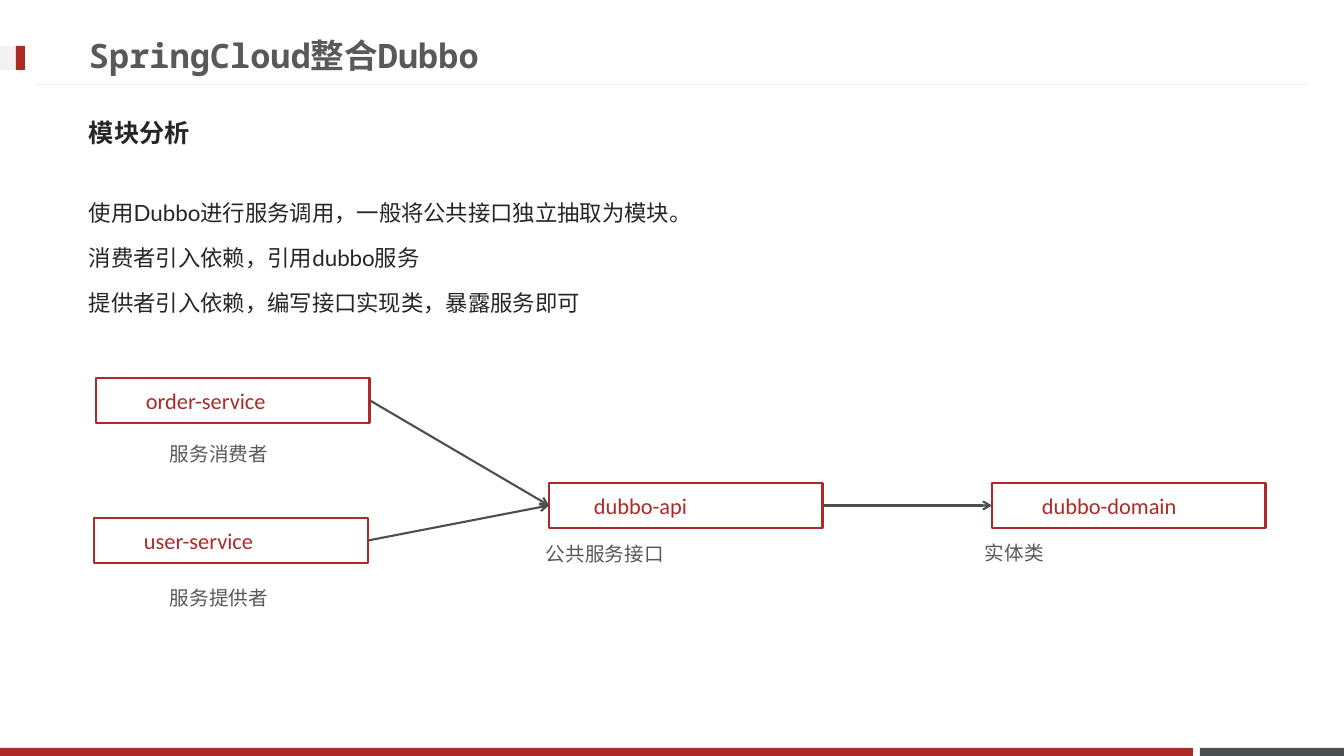
from lxml import etree
from pptx import Presentation
from pptx.dml.color import RGBColor
from pptx.enum.lang import MSO_LANGUAGE_ID
from pptx.enum.shapes import MSO_CONNECTOR, MSO_SHAPE
from pptx.enum.text import MSO_ANCHOR, PP_ALIGN
from pptx.oxml.ns import qn
from pptx.util import Emu, Pt

RECT = MSO_SHAPE.RECTANGLE
STRAIGHT = MSO_CONNECTOR.STRAIGHT
TOP, MIDDLE = MSO_ANCHOR.TOP, MSO_ANCHOR.MIDDLE
LEFT = PP_ALIGN.LEFT
CHINESE = MSO_LANGUAGE_ID.SIMPLIFIED_CHINESE

EMU_PER_PX = 914400 / 100.8
SLIDE_W, SLIDE_H = 1344, 756
LEFT_SIDE, RIGHT_SIDE = 1, 3
COLORS = {
    "red": "AD2B26",
    "slate": "49504F",
    "pale": "F2F2F2",
    "white": "FFFFFF",
    "ink": "262626",
    "grey": "595959",
}

# name: (left, top, text indent, caption, caption box)
MODULES = {
    "order-service": (96, 378, 50, "服务消费者", (160, 425, 188, 41)),
    "user-service": (94, 518, 50, "服务提供者", (160, 569, 381, 41)),
    "dubbo-api": (549, 483, 45, "公共服务接口", (536, 525, 381, 41)),
    "dubbo-domain": (992, 483, 50, "实体类", (975, 524, 274, 41)),
}
DEPENDENCIES = [
    ("order-service", "dubbo-api"),
    ("user-service", "dubbo-api"),
    ("dubbo-api", "dubbo-domain"),
]
MODULE_W, MODULE_H = 274, 45


def px(length):
    return Emu(round(length * EMU_PER_PX))


def color(name):
    return RGBColor.from_string(COLORS[name])


def add_rect(slide, box, fill, outline=None):
    rect = slide.shapes.add_shape(RECT, *map(px, box))
    rect.shadow.inherit = False
    rect.fill.solid()
    rect.fill.fore_color.rgb = color(fill)
    if outline:
        rect.line.color.rgb = color(outline)
        rect.line.width = Pt(2)
    else:
        rect.line.fill.background()
    return rect


def add_line(slide, ends, stroke, width):
    line = slide.shapes.add_connector(STRAIGHT, *map(px, ends))
    line.line.color.rgb = color(stroke)
    line.line.width = Pt(width)
    etree.SubElement(line._element.spPr, qn("a:effectLst"))
    return line


def write(frame, lines, size, typeface, ink, bold=False, spacing=1.0, gap=0, anchor=TOP):
    frame.word_wrap = True
    frame.vertical_anchor = anchor
    for index, line in enumerate(lines):
        paragraph = frame.paragraphs[0] if index == 0 else frame.add_paragraph()
        paragraph.text = line
        paragraph.alignment = LEFT
        paragraph.line_spacing = spacing
        if index:
            paragraph.space_before = Pt(gap)
        font = paragraph.font
        font.size, font.bold, font.name = Pt(size), bold, typeface
        font.language_id = CHINESE
        font.color.rgb = color(ink)
        # Chinese characters follow the same typeface setting
        defaults = paragraph._p.pPr.find(qn("a:defRPr"))
        etree.SubElement(defaults, qn("a:ea")).set("typeface", typeface)


def add_text(slide, box, lines, size, typeface, ink, **style):
    frame = slide.shapes.add_textbox(*map(px, box)).text_frame
    write(frame, lines, size, typeface, ink, **style)


def add_frame(slide, width, height):
    """Footer bars, header rule and header marker."""
    bar_top = height - 8
    add_rect(slide, (width - 144, bar_top, 144, 8), "slate")
    add_rect(slide, (0, bar_top, width - 151, 8), "red")
    add_line(slide, (width - 36, 85, 35, 85), "pale", 0.75)
    add_rect(slide, (0, 46, 25, 24), "pale")
    add_rect(slide, (16, 46, 9, 24), "red")


def add_copy(slide, left, top, width):
    """Title, subtitle and explanation."""
    add_text(slide, (left, top, 967, 57), ["SpringCloud整合Dubbo"],
             24, "Noto Sans Mono", "grey", bold=True, anchor=MIDDLE)
    add_text(slide, (left, top + 77, width, 57), ["模块分析"],
             18, "Noto Sans CJK JP", "ink", bold=True, anchor=MIDDLE)
    explanation = [
        "使用Dubbo进行服务调用，一般将公共接口独立抽取为模块。",
        "消费者引入依赖，引用dubbo服务",
        "提供者引入依赖，编写接口实现类，暴露服务即可",
    ]
    add_text(slide, (left, top + 154, width, 465), explanation,
             16, "Lato", "ink", spacing=1.5, gap=3.2)


def add_diagram(slide):
    """Module boxes, dependency arrows and captions."""
    boxes = {}
    for name, (left, top, indent, _, _) in MODULES.items():
        box = add_rect(slide, (left, top, MODULE_W, MODULE_H), "white", "red")
        box.text_frame.margin_left = px(indent)
        write(box.text_frame, [name], 16, "Calibri", "red", anchor=MIDDLE)
        boxes[name] = box

    for user, used in DEPENDENCIES:
        arrow = add_line(slide, (0, 0, 0, 0), "slate", 1.5)
        arrow.begin_connect(boxes[user], RIGHT_SIDE)
        arrow.end_connect(boxes[used], LEFT_SIDE)
        etree.SubElement(arrow.line._get_or_add_ln(), qn("a:tailEnd")).set("type", "arrow")

    for _, _, _, caption, caption_box in MODULES.values():
        add_text(slide, caption_box, [caption], 14, "Lato", "grey", spacing=1.5)


def main():
    presentation = Presentation()
    presentation.slide_width, presentation.slide_height = px(SLIDE_W), px(SLIDE_H)
    slide = presentation.slides.add_slide(presentation.slide_layouts[6])
    add_frame(slide, SLIDE_W, SLIDE_H)
    add_copy(slide, 79, 27, 1185)
    add_diagram(slide)
    presentation.save("out.pptx")


if __name__ == "__main__":
    main()
